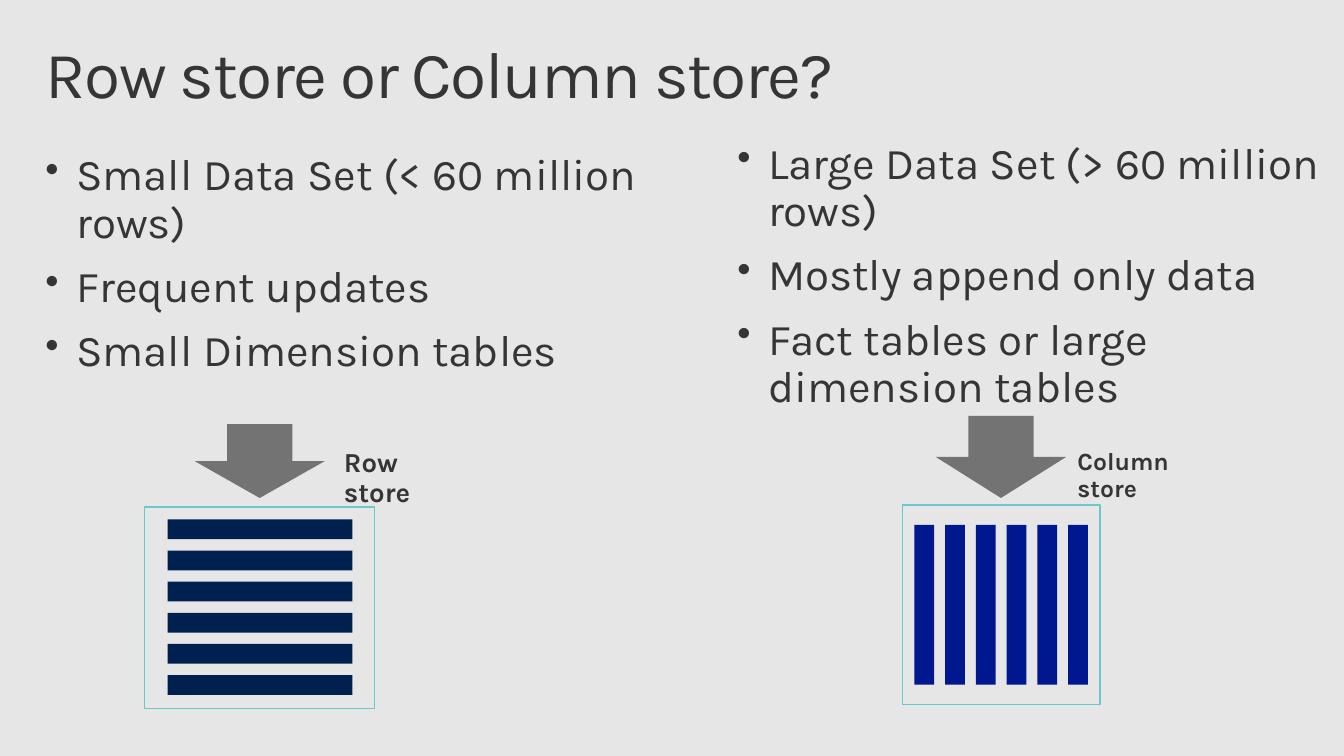
from lxml import etree
from pptx import Presentation
from pptx import util as u
from pptx.dml.color import RGBColor
from pptx.enum import shapes, text
from pptx.oxml.ns import qn

INK = "353535"
FONT = "Karla"
BAR_COUNT = 6


def color(value):
    return RGBColor.from_string(value)


def add_bullet(p):
    pPr = p._p.get_or_add_pPr()
    pPr.set("marL", str(u.Cm(0.79)))
    pPr.set("indent", str(-u.Cm(0.79)))
    clr = etree.SubElement(pPr, qn("a:buClr"))
    etree.SubElement(clr, qn("a:srgbClr"), val=INK)
    etree.SubElement(pPr, qn("a:buSzPct"), val="90000")
    etree.SubElement(pPr, qn("a:buChar"), char="•")


def write(sp, lines, size, bold=False, bullets=False, gap=0, inset=(0.41, 0.25), spacing=None):
    """Fill a text shape with one paragraph per line."""
    tf = sp.text_frame
    tf.word_wrap = True
    tf.auto_size = text.MSO_AUTO_SIZE.NONE
    tf.vertical_anchor = text.MSO_ANCHOR.TOP
    tf.margin_left = tf.margin_right = u.Cm(inset[0])
    tf.margin_top = tf.margin_bottom = u.Cm(inset[1])
    for i, line in enumerate(lines):
        p = tf.paragraphs[0] if i == 0 else tf.add_paragraph()
        p.alignment = text.PP_ALIGN.LEFT
        p.line_spacing = 0.9
        p.space_before = u.Pt(gap if i else 0)
        if bullets:
            add_bullet(p)
        r = p.add_run()
        r.text = line
        r.font.name, r.font.size, r.font.bold = FONT, u.Pt(size), bold
        r.font.color.rgb = color(INK)
        if spacing is not None:
            r._r.get_or_add_rPr().set("spc", str(spacing))


def add_text(s, box, lines, size, **fmt):
    sp = s.shapes.add_textbox(*map(u.Cm, box))
    write(sp, lines, size, **fmt)


def add_block(parent, kind, box, fill=None, line=None):
    sp = parent.shapes.add_shape(kind, *map(u.Cm, box))
    sp.shadow.inherit = False
    if fill:
        sp.fill.solid()
        sp.fill.fore_color.rgb = color(fill)
    else:
        sp.fill.background()
    if line:
        sp.line.color.rgb = color(line)
        sp.line.width = u.Pt(0.85)
    else:
        sp.line.fill.background()


def add_title(s, box, title):
    sp = s.shapes.title
    sp.left, sp.top, sp.width, sp.height = map(u.Cm, box)
    write(sp, [title], 48, spacing=-100)


def add_store_icon(s, box, first_bar, step, fill):
    """Draw a framed set of bars; first_bar is relative to the frame, step is (dx, dy)."""
    x, y = box[:2]
    dx, dy, w, h = first_bar
    grp = s.shapes.add_group_shape()
    add_block(grp, shapes.MSO_SHAPE.RECTANGLE, box, line="69C8CA")
    for i in range(BAR_COUNT):
        bar = (x + dx + i * step[0], y + dy + i * step[1], w, h)
        add_block(grp, shapes.MSO_SHAPE.RECTANGLE, bar, fill=fill)


def add_store_column(s, box, bullets, arrow, label, label_box, label_size):
    """Place the criteria in box, with the arrow and label offset from its corner."""
    x, y = box[:2]
    add_text(s, box, bullets, 32, bullets=True, gap=12.2)
    add_block(s, shapes.MSO_SHAPE.DOWN_ARROW,
              (x + arrow[0], y + arrow[1], *arrow[2:]), fill="737373")
    add_text(s, (x + label_box[0], y + label_box[1], *label_box[2:]), [label],
             label_size, bold=True, inset=(0.51, 0.41))


def main():
    prs = Presentation()
    prs.slide_width, prs.slide_height = u.Cm(34.54), u.Cm(19.43)
    s = prs.slides.add_slide(prs.slide_layouts[5])
    s.background.fill.solid()
    s.background.fill.fore_color.rgb = color("E6E6E6")

    add_title(s, (0.76, 0.81, 33.02, 2.54), "Row store or Column store?")
    add_store_column(
        s, (0.76, 3.68, 16.15, 6.99),
        ["Small Data Set (< 60 million rows)", "Frequent updates", "Small Dimension tables"],
        (4.24, 7.22, 3.35, 1.9), "Row store", (7.57, 7.45, 4.04, 1.6), 20)
    add_store_column(
        s, (18.54, 3.38, 16, 7.52),
        ["Large Data Set (> 60 million rows)", "Mostly append only data",
         "Fact tables or large dimension tables"],
        (5.51, 7.31, 3.35, 2.11), "Column store", (8.64, 7.75, 4.75, 1.52), 18)
    add_store_icon(s, (3.71, 13.03, 5.92, 5.18), (0.6, 0.32, 4.75, 0.51), (0, 0.8), "002050")
    add_store_icon(s, (23.19, 12.98, 5.08, 5.13), (0.31, 0.51, 0.51, 4.11), (0.79, 0), "00188F")
    prs.save("out.pptx")


if __name__ == "__main__":
    main()
